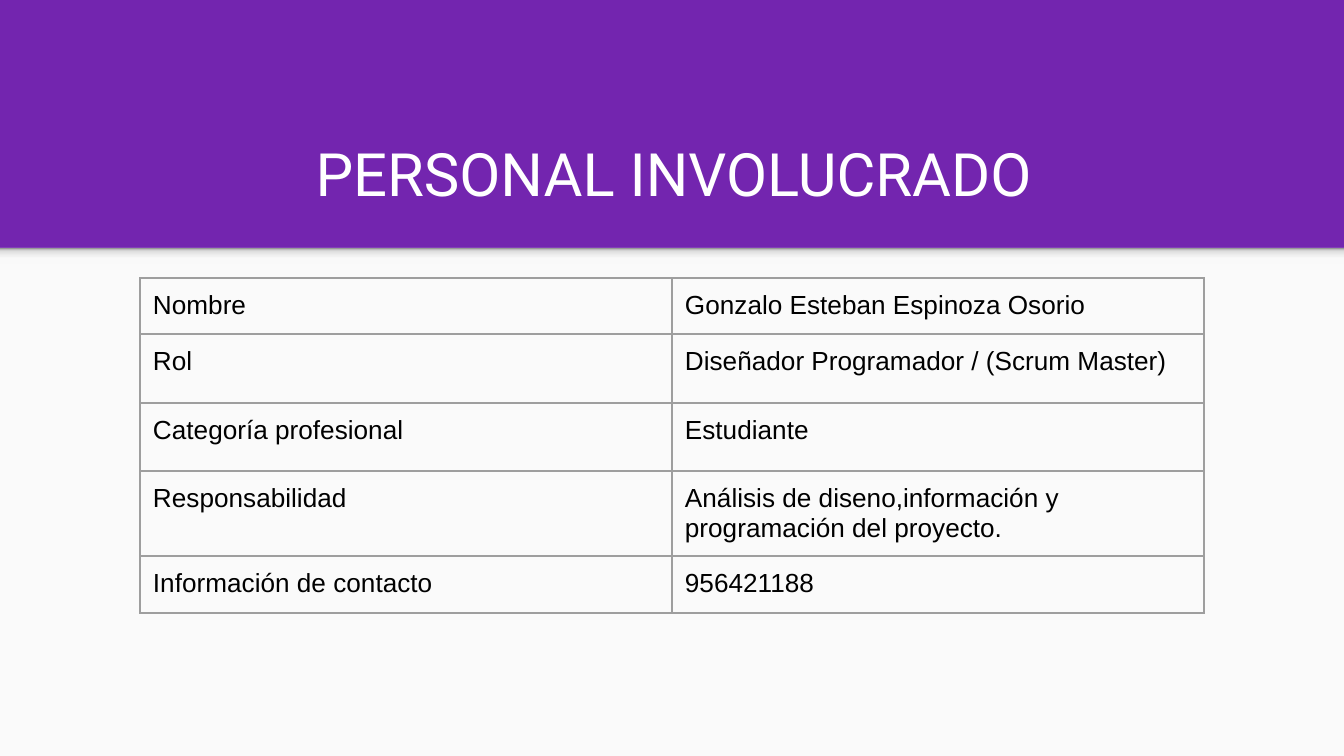
import pptx
import pptx.util
import pptx.dml.color
import pptx.enum.shapes
import pptx.enum.text
import pptx.oxml.ns
import lxml.etree
from dataclasses import dataclass

SCALE = 914400 / 134.4


@dataclass(frozen=True)
class Theme:
    band: str = "7325AF"
    page: str = "FAFAFA"
    rule: str = "9E9E9E"
    ink: str = "000000"
    light: str = "FFFFFF"
    shade: tuple = ((0, "F9F9F9"), (36, "F9F9F9"), (80, "DEDEDE"), (100, "999999"))
    head: int = 32
    body: int = 14
    line: float = 0.75


THEME = Theme()
INSET = 13
ROWS = [
    ("Nombre", "Gonzalo Esteban Espinoza Osorio", 56),
    ("Rol", "Diseñador Programador / (Scrum Master)", 69),
    ("Categoría profesional", "Estudiante", 68),
    ("Responsabilidad", "Análisis de diseno,información y programación del proyecto.", 85),
    ("Información de contacto", "956421188", 57),
]


def px(num):
    return pptx.util.Emu(round(num * SCALE))


def rgb(code):
    return pptx.dml.color.RGBColor.from_string(code)


def apply(item, form):
    for key, value in form.items():
        setattr(item, key, value)


def add(parent, tag, **attrs):
    return lxml.etree.SubElement(parent, pptx.oxml.ns.qn(tag), attrs)


def pad(item):
    sides = ("left", "top", "right", "bottom")
    apply(item, {f"margin_{side}": px(INSET) for side in sides})


def write(par, text, size, face, color):
    run = par.add_run()
    run.text = text
    apply(run.font, {"size": pptx.util.Pt(size), "name": face, "bold": False})
    run.font.color.rgb = rgb(color)


def panel(slide, box):
    kind = pptx.enum.shapes.MSO_SHAPE.RECTANGLE
    shape = slide.shapes.add_shape(kind, *map(px, box))
    shape.shadow.inherit = False
    shape.line.fill.background()
    return shape


def page(slide, box):
    left, top, width, height = box
    sheet = panel(slide, box)
    sheet.fill.solid()
    sheet.fill.fore_color.rgb = rgb(THEME.page)
    edge = panel(slide, (left, top, width, 16))
    edge.fill.gradient()
    edge.fill.gradient_angle = 90
    stops = edge.element.spPr.find(".//" + pptx.oxml.ns.qn("a:gsLst"))
    stops.clear()
    for spot, color in THEME.shade:
        stop = add(stops, "a:gs", pos=str(spot * 1000))
        add(stop, "a:srgbClr", val=color)


def title(slide, box):
    frame = slide.shapes.add_textbox(*map(px, box)).text_frame
    pad(frame)
    apply(frame, {
        "word_wrap": True,
        "vertical_anchor": pptx.enum.text.MSO_ANCHOR.BOTTOM,
    })
    par = frame.paragraphs[0]
    par.alignment = pptx.enum.text.PP_ALIGN.CENTER
    write(par, "PERSONAL INVOLUCRADO", THEME.head, "Roboto", THEME.light)


def border(cell):
    props = cell._tc.get_or_add_tcPr()
    for tag in ("a:lnL", "a:lnR", "a:lnT", "a:lnB"):
        line = add(props, tag, w=str(pptx.util.Pt(THEME.line)))
        add(add(line, "a:solidFill"), "a:srgbClr", val=THEME.rule)


def staff(slide, box):
    grid = slide.shapes.add_table(len(ROWS), 2, *map(px, box)).table
    apply(grid, {"first_row": False, "horz_banding": False})
    for col in grid.columns:
        col.width = px(box[2] / 2)
    for row, (label, value, height) in zip(grid.rows, ROWS):
        row.height = px(height)
        for cell, text in zip(row.cells, (label, value)):
            pad(cell)
            border(cell)
            cell.fill.background()
            par = cell.text_frame.paragraphs[0]
            write(par, text, THEME.body, "Arial", THEME.ink)


def main():
    deck = pptx.Presentation()
    apply(deck, {"slide_width": px(1344), "slide_height": px(756)})
    slide = deck.slides.add_slide(deck.slide_layouts[6])
    back = slide.background.fill
    back.solid()
    back.fore_color.rgb = rgb(THEME.band)
    page(slide, (0, 248, 1344, 508))
    staff(slide, (140, 278, 1064, sum(row[2] for row in ROWS)))
    title(slide, (70, 109, 1208, 113))
    deck.save("out.pptx")


if __name__ == "__main__":
    main()
